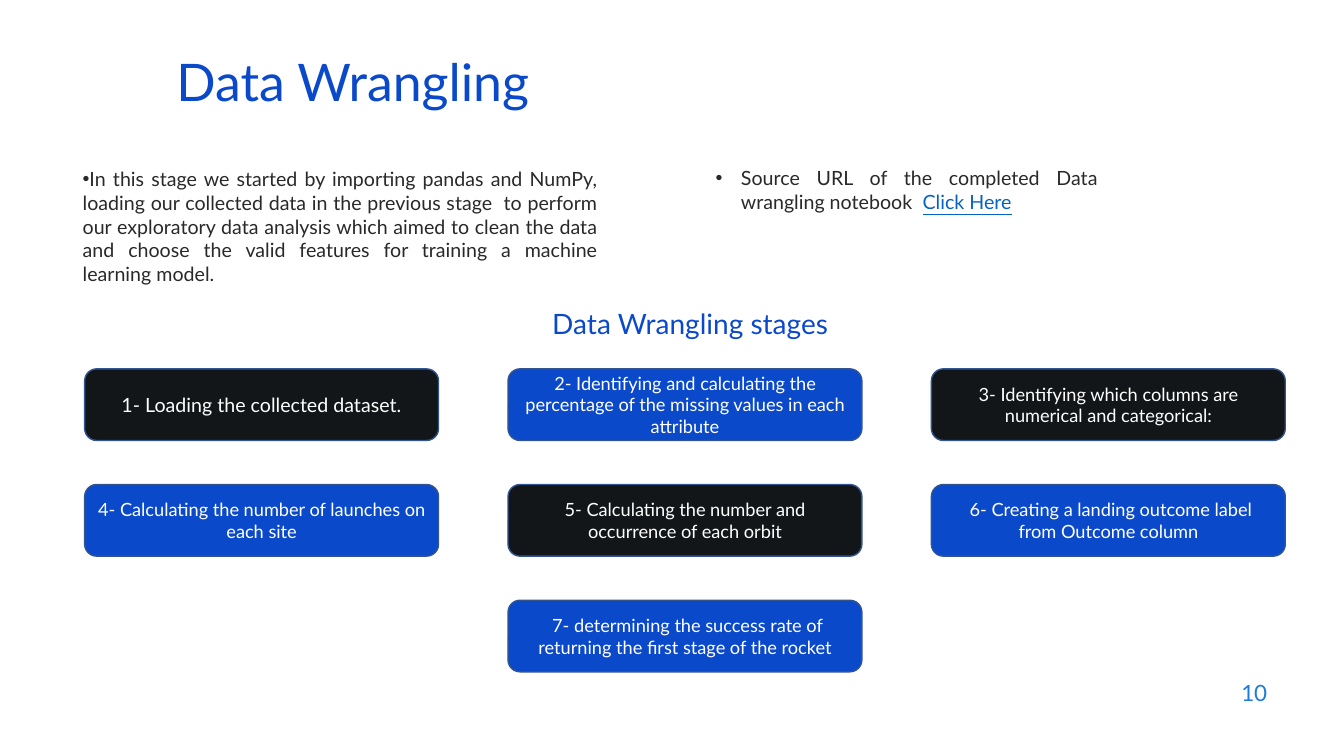
"""Build the data wrangling slide with its seven stages."""
from pptx import Presentation
from pptx.dml.color import RGBColor
from pptx.enum.shapes import MSO_SHAPE
from pptx.enum.text import MSO_ANCHOR, MSO_AUTO_SIZE, PP_ALIGN
from pptx.util import Inches, Pt

ROUND = MSO_SHAPE.ROUNDED_RECTANGLE
LEFT, MID, RIGHT, JUST = PP_ALIGN.LEFT, PP_ALIGN.CENTER, PP_ALIGN.RIGHT, PP_ALIGN.JUSTIFY
TOP, CENTRE = MSO_ANCHOR.TOP, MSO_ANCHOR.MIDDLE
FIXED = MSO_AUTO_SIZE.NONE
HUES = {"blue": "0B49CB", "black": "121619", "edge": "325491", "text": "292929",
        "white": "FFFFFF", "link": "0563C1", "page": "1C7DDB"}
STAGES = [
    (0, 0, "1- Loading the collected dataset.", 14),
    (1, 0, "2- Identifying and calculating the percentage of the missing values in each attribute", 13),
    (2, 0, "3- Identifying which columns are numerical and categorical:", 13),
    (0, 1, "4- Calculating the number of launches on each site", 13),
    (1, 1, "5- Calculating the number and occurrence of each orbit", 13),
    (2, 1, " 6- Creating a landing outcome label from Outcome column", 13),
    (1, 2, " 7- determining the success rate of returning the first stage of the rocket", 13),
]
INTRO = ("In this stage we started by importing pandas and NumPy, loading our collected data "
         "in the previous stage  to perform our exploratory data analysis which aimed to clean "
         "the data and choose the valid features for training a machine learning model.")


def tint(name):
    return RGBColor.from_string(HUES[name])


def write(shape, *runs, size=14, hue="text", align=LEFT, anchor=TOP, space=1.0, hang=None):
    frame = shape.text_frame
    frame.word_wrap = True
    frame.auto_size = FIXED
    frame.vertical_anchor = anchor
    para = frame.paragraphs[0]
    if hang is not None:
        props = para._p.get_or_add_pPr()
        props.set("marL", str(Inches(hang)))
        props.set("indent", str(-Inches(hang)))
    para.alignment = align
    para.line_spacing = space
    para.space_before = Pt(0)
    for words in runs:
        run = para.add_run()
        run.text = words
        run.font.name = "Lato"
        run.font.size = Pt(size)
        run.font.color.rgb = tint(hue)
    return para


class Board:
    """Hold the deck, its slide and a percent scale for every length."""

    def __init__(self):
        self.deck = Presentation()
        self.deck.slide_width = Inches(13.33)
        self.deck.slide_height = Inches(7.5)
        self.slide = self.deck.slides.add_slide(self.deck.slide_layouts[3])

    def scale(self, x, y, w, h):
        wide, high = self.deck.slide_width / 100, self.deck.slide_height / 100
        return int(x * wide), int(y * high), int(w * wide), int(h * high)

    def hold(self, index, area, *runs, **style):
        shape = self.slide.placeholders[index]
        shape.left, shape.top, shape.width, shape.height = self.scale(*area)
        return write(shape, *runs, **style)

    def label(self, area, words, **style):
        write(self.slide.shapes.add_textbox(*self.scale(*area)), words, **style)

    def stage(self, col, row, words, size):
        area = self.scale(6.3 + 31.5 * col, 48.8 + 15.3 * row, 26.33, 9.47)
        box = self.slide.shapes.add_shape(ROUND, *area)
        box.shadow.inherit = False
        box.fill.solid()
        box.fill.fore_color.rgb = tint("blue" if (col + row) % 2 else "black")
        box.line.color.rgb = tint("edge")
        box.line.width = Pt(1)
        write(box, words, size=size, hue="white", align=MID, anchor=CENTRE)


def main():
    board = Board()
    board.hold(0, (12.38, 7.73, 86.25, 8), "Data Wrangling",
               size=37, hue="blue", anchor=CENTRE, space=0.7)
    board.hold(1, (5.4, 21.47, 39.83, 25.6), INTRO, align=JUST, hang=0)
    note = board.hold(2, (52.5, 21.33, 29.93, 7.6),
                      "Source URL of the completed Data wrangling notebook  ", "Click Here",
                      align=JUST, hang=0.25)
    link = note.runs[1].font
    link.color.rgb = tint("link")
    link.underline = True
    board.label((40.35, 39.87, 22.65, 5.87), "Data Wrangling stages", size=20, hue="blue")
    for item in STAGES:
        board.stage(*item)
    board.label((72.53, 88.67, 22.5, 5.87), "10", size=16, hue="page",
                align=RIGHT, anchor=CENTRE)
    board.deck.save("out.pptx")


if __name__ == "__main__":
    main()
